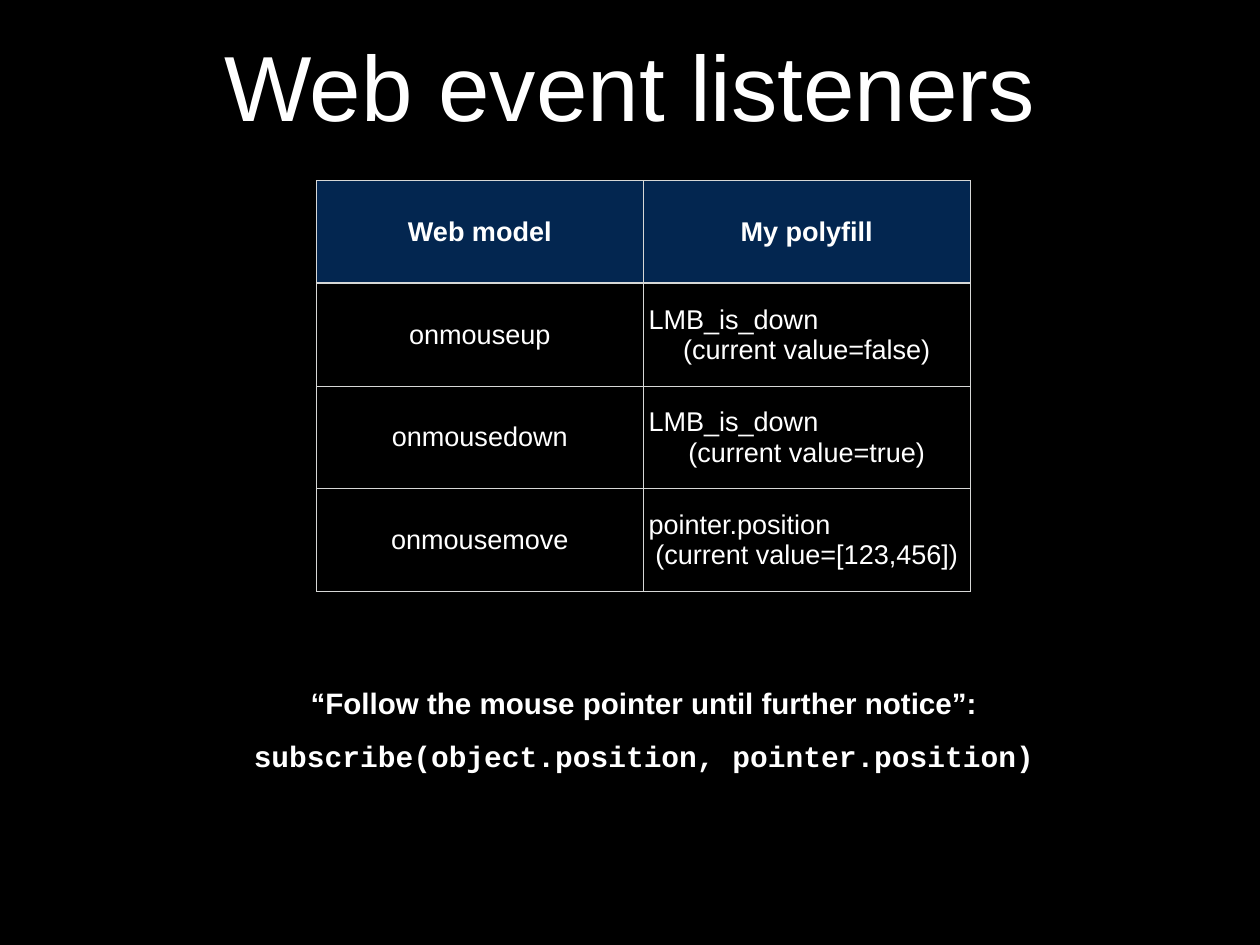
from lxml import etree
from pptx import Presentation
from pptx.dml.color import RGBColor
from pptx.enum.text import MSO_ANCHOR, PP_ALIGN
from pptx.oxml.ns import qn
from pptx.util import Inches, Pt

LEFT, CENTER = PP_ALIGN.LEFT, PP_ALIGN.CENTER
MIDDLE = MSO_ANCHOR.MIDDLE
BLACK = RGBColor(0x00, 0x00, 0x00)
WHITE = RGBColor(0xFF, 0xFF, 0xFF)
NAVY = RGBColor(0x03, 0x26, 0x50)
BORDER_GREY = RGBColor(0xD6, 0xD7, 0xD6)

# Content
TITLE = "Web event listeners"
HEADERS = ("Web model", "My polyfill")
EVENTS = [
    ("onmouseup", "LMB_is_down", "(current value=false)"),
    ("onmousedown", "LMB_is_down", "(current value=true)"),
    ("onmousemove", "pointer.position", "(current value=[123,456])"),
]
EXAMPLE = [
    ("“Follow the mouse pointer until further notice”:", "Arial"),
    ("subscribe(object.position, pointer.position)", "Courier New"),
]

# Layout, in inches
TITLE_BOX = (1.04, 0.28, 12.14, 1.35)
TABLE_LEFT, TABLE_TOP = 3.57, 2.04
COLUMN_WIDTH, ROW_HEIGHT = 3.69, 1.16
EXAMPLE_BOX = (2.8, 7.59, 8.93, 1.09)
INSET = Inches(0.06)
MARGINS = {f"margin_{side}": INSET for side in ("left", "top", "right", "bottom")}
FRAME_FORMAT = {**MARGINS, "vertical_anchor": MIDDLE}


def set_format(target, values):
    for name, value in values.items():
        setattr(target, name, value)


def write_lines(frame, lines, size, bold=False, spacing=1.0):
    """Fill a text frame with (text, font name, alignment) lines."""
    for index, (text, font_name, alignment) in enumerate(lines):
        para = frame.add_paragraph() if index else frame.paragraphs[0]
        set_format(para, {"alignment": alignment, "line_spacing": spacing})
        span = para.add_run()
        span.text = text
        set_format(span.font, {"name": font_name, "size": Pt(size), "bold": bold})
        span.font.color.rgb = WHITE


def add_borders(cell, widths):
    """Draw cell edges; widths maps lnL, lnR, lnT, lnB to points."""
    properties = cell._tc.get_or_add_tcPr()
    for index, (edge, width) in enumerate(widths.items()):
        line = etree.Element(qn(f"a:{edge}"), w=str(Pt(width)))
        fill = etree.SubElement(line, qn("a:solidFill"))
        etree.SubElement(fill, qn("a:srgbClr"), val=str(BORDER_GREY))
        properties.insert(index, line)


def add_title(page):
    title = page.shapes.title
    left, top, width, height = map(Inches, TITLE_BOX)
    set_format(title, {"left": left, "top": top, "width": width, "height": height})
    set_format(title.text_frame, FRAME_FORMAT)
    write_lines(title.text_frame, [(TITLE, "Arial", CENTER)], 75.2)


def add_event_table(page):
    rows = [[[header] for header in HEADERS]]
    rows += [[[event], [signal, value]] for event, signal, value in EVENTS]
    row_count, column_count = len(rows), len(HEADERS)
    table = page.shapes.add_table(
        row_count, column_count, Inches(TABLE_LEFT), Inches(TABLE_TOP),
        Inches(COLUMN_WIDTH * column_count), Inches(ROW_HEIGHT * row_count),
    ).table
    set_format(table, {"first_row": False, "horz_banding": False})
    for row_index, row in enumerate(rows):
        is_header = row_index == 0
        for column_index, texts in enumerate(row):
            cell = table.cell(row_index, column_index)
            set_format(cell, FRAME_FORMAT)
            # The signal name sits left, its value is centred below
            alignments = (LEFT, CENTER) if len(texts) == 2 else (CENTER,)
            lines = [(text, "Arial", side) for text, side in zip(texts, alignments)]
            write_lines(cell.text_frame, lines, 22, bold=is_header)
            if is_header:
                cell.fill.solid()
                cell.fill.fore_color.rgb = NAVY
            else:
                cell.fill.background()
            add_borders(cell, {
                "lnL": 1, "lnR": 1,
                "lnT": 2 if row_index == 1 else 1,
                "lnB": 2 if is_header else 1,
            })


def add_example(page):
    box = page.shapes.add_textbox(*map(Inches, EXAMPLE_BOX))
    set_format(box.text_frame, {**FRAME_FORMAT, "word_wrap": False})
    lines = [(text, font_name, CENTER) for text, font_name in EXAMPLE]
    write_lines(box.text_frame, lines, 24, bold=True, spacing=1.5)


def main():
    deck = Presentation()
    set_format(deck, {"slide_width": Inches(14.22), "slide_height": Inches(10.67)})
    page = deck.slides.add_slide(deck.slide_layouts[5])
    page.background.fill.solid()
    page.background.fill.fore_color.rgb = BLACK
    add_title(page)
    add_event_table(page)
    add_example(page)
    deck.save("out.pptx")


if __name__ == "__main__":
    main()
